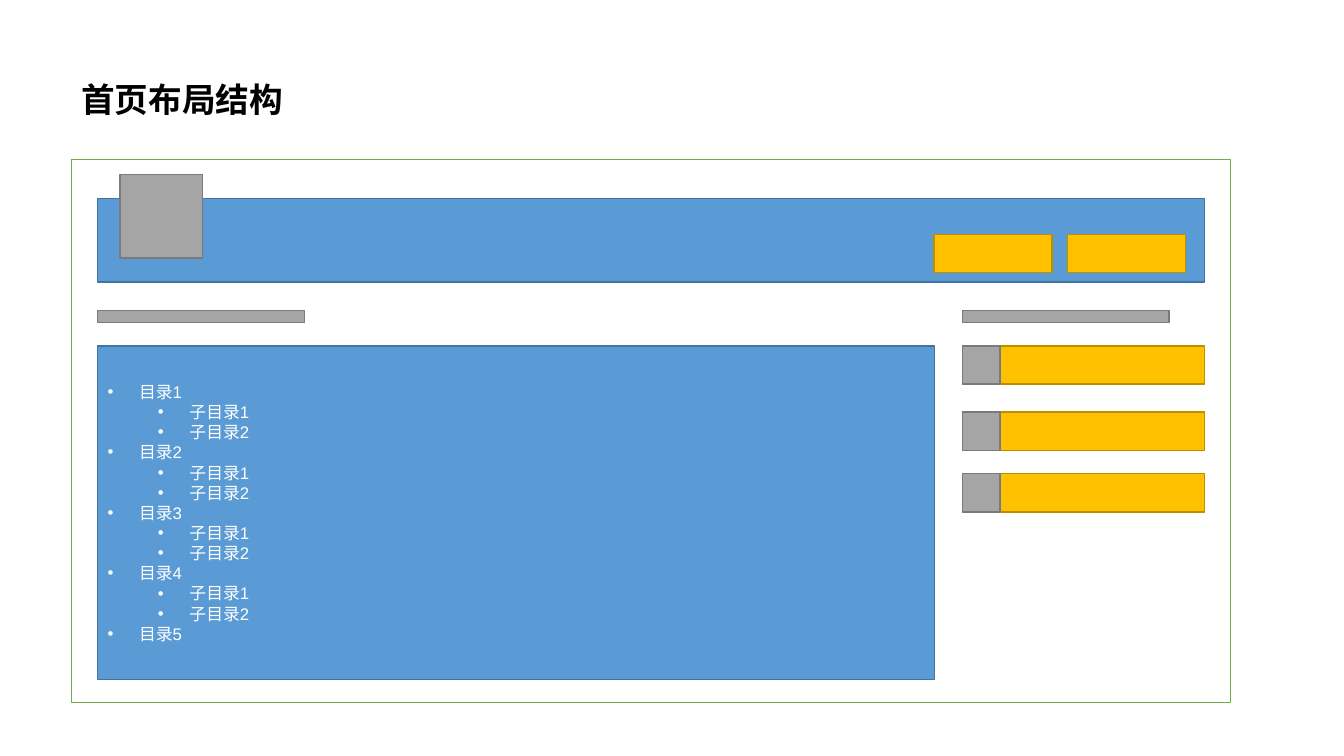
from dataclasses import dataclass

from lxml import etree
from pptx import Presentation
from pptx import util as u
from pptx.dml import color
from pptx.enum import shapes, text
from pptx.oxml import ns

Pt = u.Pt


@dataclass(frozen=True)
class Theme:
    # Fill and line colour pairs
    frame: tuple = ("FFFFFF", "70AD47")
    panel: tuple = ("5B9BD5", "43739E")
    grey: tuple = ("A5A5A5", "7A7A7A")
    gold: tuple = ("FFC000", "BD8E00")
    title_font: dict = None
    menu_font: dict = None


def font(name, size, rgb, bold=False):
    return {"name": name, "size": Pt(size), "bold": bold, "rgb": rgb}


THEME = Theme(title_font=font("Montserrat", 24, "000000", True),
              menu_font=font("Arial", 12, "FFFFFF"))


def add_box(s, colours, x, y, w, h):
    sp = s.shapes.add_shape(shapes.MSO_SHAPE.RECTANGLE, Pt(x), Pt(y), Pt(w), Pt(h))
    sp.shadow.inherit = False
    fill, line = colours
    sp.fill.solid()
    sp.fill.fore_color.rgb = color.RGBColor.from_string(fill)
    sp.line.color.rgb = color.RGBColor.from_string(line)
    sp.line.width = Pt(1)
    return sp


def add_run(p, words, fmt):
    r = p.add_run()
    r.text = words
    for key, value in fmt.items():
        if key == "rgb":
            r.font.color.rgb = color.RGBColor.from_string(value)
        else:
            setattr(r.font, key, value)


def set_bullet(p, left, hang):
    pPr = p._p.get_or_add_pPr()
    pPr.set("marL", str(Pt(left)))
    pPr.set("indent", str(-Pt(hang)))
    etree.SubElement(pPr, ns.qn("a:buFont")).set("typeface", "Arial")
    etree.SubElement(pPr, ns.qn("a:buChar")).set("char", "•")


def add_title(s, words, x, y, w, h):
    tf = s.shapes.add_textbox(Pt(x), Pt(y), Pt(w), Pt(h)).text_frame
    tf.word_wrap = True
    tf.vertical_anchor = text.MSO_ANCHOR.MIDDLE
    p = tf.paragraphs[0]
    p.line_spacing = 0.9
    add_run(p, words, THEME.title_font)


def add_menu(s, items, x, y, w, h):
    tf = add_box(s, THEME.panel, x, y, w, h).text_frame
    tf.word_wrap = True
    tf.vertical_anchor = text.MSO_ANCHOR.MIDDLE
    for i, (level, words) in enumerate(items):
        p = tf.add_paragraph() if i else tf.paragraphs[0]
        p.level = level
        p.alignment = text.PP_ALIGN.LEFT
        set_bullet(p, 22.5 + 36 * level, 22.5)
        add_run(p, words, THEME.menu_font)


def add_entry(s, x, y, w, h):
    add_box(s, THEME.gold, x, y, w, h)
    add_box(s, THEME.grey, x, y, 27, h)


def menu_items():
    items = []
    for n in range(1, 5):
        items.append((0, f"目录{n}"))
        items += [(1, f"子目录{k}") for k in (1, 2)]
    return items + [(0, "目录5")]


def main():
    prs = Presentation()
    prs.slide_width, prs.slide_height = Pt(960), Pt(540)
    s = prs.slides.add_slide(prs.slide_layouts[6])
    left, side, body_top, row_h = 69.8, 687.4, 247, 27.4

    # Title and page frame
    add_title(s, "首页布局结构", 51, 20.2, 828, 104.4)
    add_box(s, THEME.frame, 51, 114, 828, 388)

    # Header with logo block and two buttons
    add_box(s, THEME.panel, left, 141.8, 790.8, 59.6)
    add_box(s, THEME.grey, 85.7, 124.8, 59, 59.6)
    for i in range(2):
        add_box(s, THEME.gold, 667.3 + 95.3 * i, 167.3, 84.2, row_h)

    # Column headings
    for x in (left, side):
        add_box(s, THEME.grey, x, 221.7, 147.7, 8.8)

    # Sidebar entries
    for y in (body_top, 294.4, 338.4):
        add_entry(s, side, y, 173.2, row_h)

    # Directory panel
    add_menu(s, menu_items(), left, body_top, 597.7, 238.3)

    prs.save("out.pptx")


if __name__ == "__main__":
    main()
